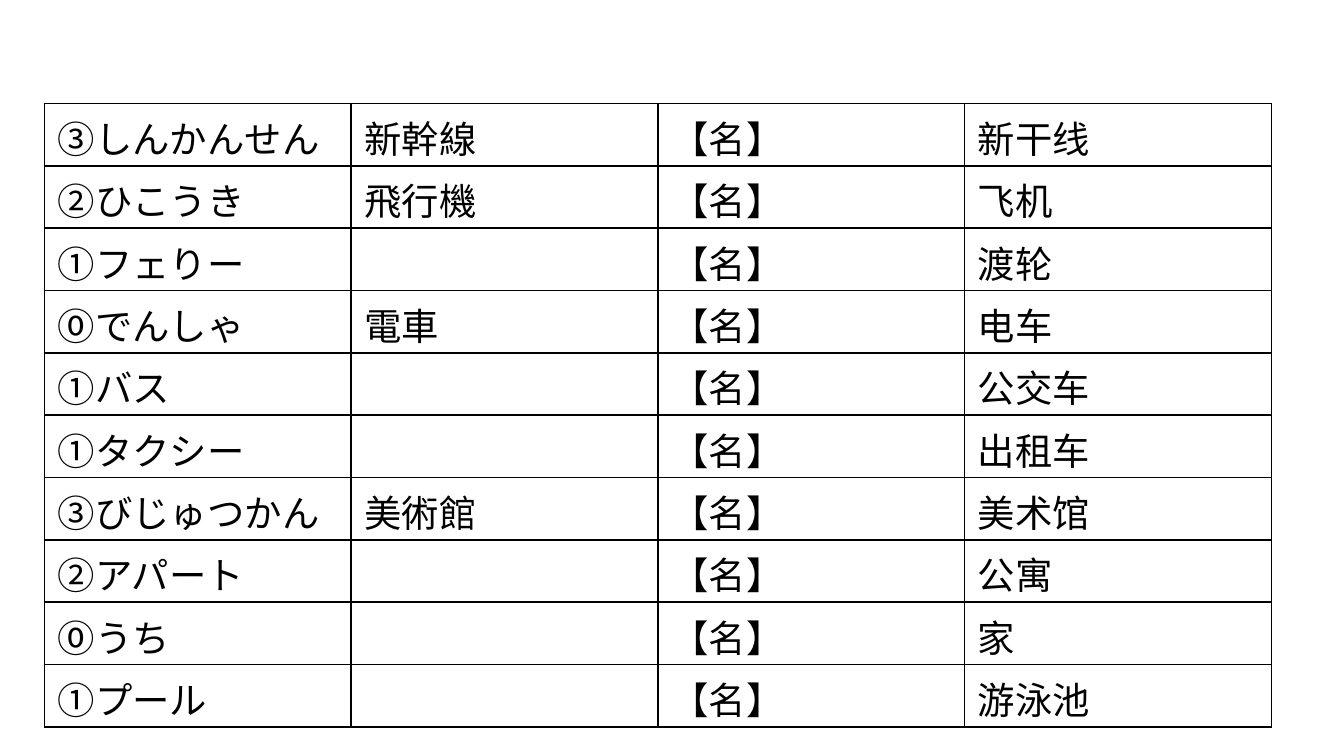
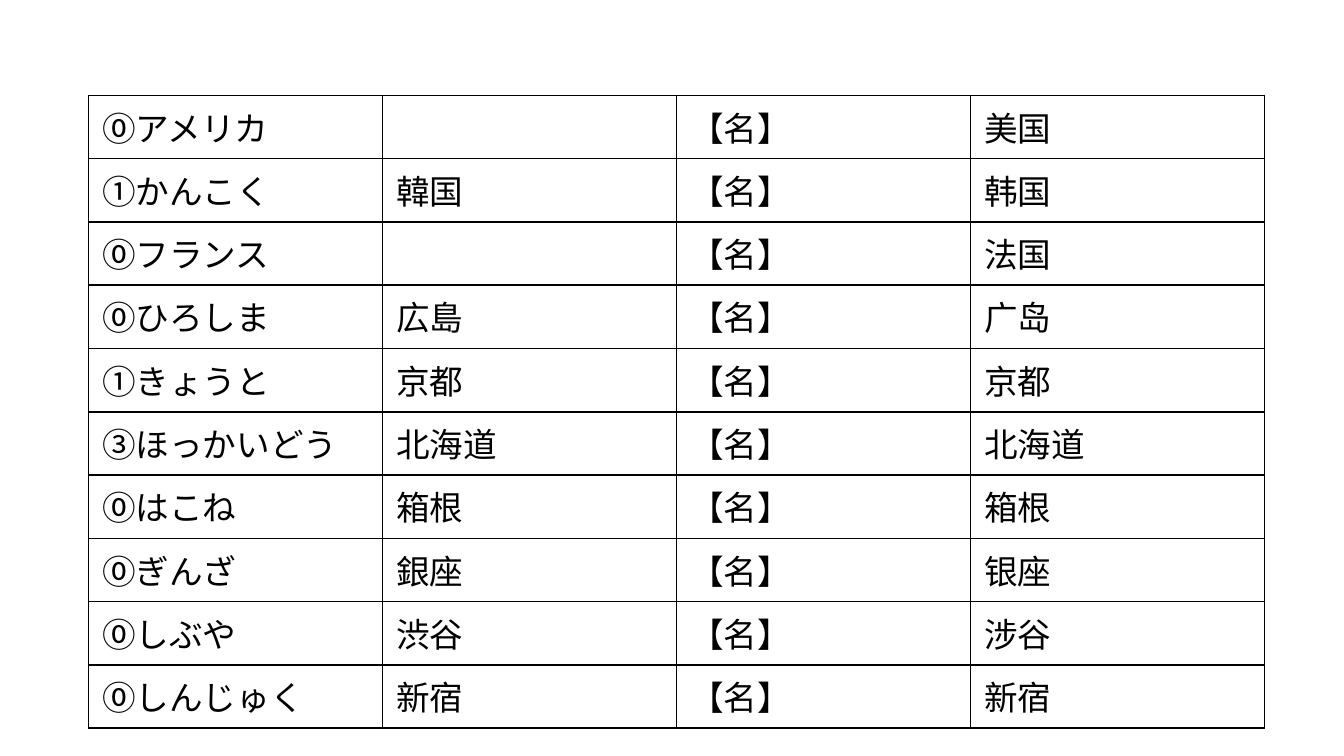
from lxml import etree
from pptx import Presentation
from pptx.dml.color import RGBColor
from pptx.enum.text import MSO_ANCHOR
from pptx.oxml.ns import qn
from pptx.util import Inches, Pt

TOP = MSO_ANCHOR.TOP
FONT = "Calibri"
BLACK = "000000"
NOUN = "【名】"
BORDER_WIDTH = Pt(1)

TRANSPORT_AND_BUILDINGS = [
    ("③しんかんせん", "新幹線", "新干线"),
    ("②ひこうき", "飛行機", "飞机"),
    ("①フェりー", "", "渡轮"),
    ("⓪でんしゃ", "電車", "电车"),
    ("①バス", "", "公交车"),
    ("①タクシー", "", "出租车"),
    ("③びじゅつかん", "美術館", "美术馆"),
    ("②アパート", "", "公寓"),
    ("⓪うち", "", "家"),
    ("①プール", "", "游泳池"),
]
PLACE_NAMES = [
    ("⓪アメリカ", "", "美国"),
    ("①かんこく", "韓国", "韩国"),
    ("⓪フランス", "", "法国"),
    ("⓪ひろしま", "広島", "广岛"),
    ("①きょうと", "京都", "京都"),
    ("③ほっかいどう", "北海道", "北海道"),
    ("⓪はこね", "箱根", "箱根"),
    ("⓪ぎんざ", "銀座", "银座"),
    ("⓪しぶや", "渋谷", "涉谷"),
    ("⓪しんじゅく", "新宿", "新宿"),
]
VOCABULARY_SLIDES = [
    (TRANSPORT_AND_BUILDINGS, 0.33, 0.77, 9.13, 4.64, 20),
    (PLACE_NAMES, 0.66, 0.71, 8.75, 4.71, 18),
]


def color(value):
    return RGBColor.from_string(value)


def add_borders(cell):
    properties = cell._tc.get_or_add_tcPr()
    for position, side in enumerate(("lnL", "lnR", "lnT", "lnB")):
        line = etree.Element(qn(f"a:{side}"), w=str(BORDER_WIDTH))
        fill = etree.SubElement(line, qn("a:solidFill"))
        etree.SubElement(fill, qn("a:srgbClr"), val=BLACK)
        properties.insert(position, line)


presentation = Presentation()
presentation.slide_width = Inches(10)
presentation.slide_height = Inches(10) * 9 // 16

for words, left, top, width, height, size in VOCABULARY_SLIDES:
    slide = presentation.slides.add_slide(presentation.slide_layouts[6])
    table = slide.shapes.add_table(
        len(words), 4, Inches(left), Inches(top), Inches(width), Inches(height)
    ).table
    table.first_row = False
    table.horz_banding = False
    for row, (reading, kanji, meaning) in enumerate(words):
        for column, text in enumerate((reading, kanji, NOUN, meaning)):
            cell = table.cell(row, column)
            cell.fill.background()
            cell.vertical_anchor = TOP
            cell.margin_bottom = 0
            add_borders(cell)
            cell.text_frame.text = text
            for run in cell.text_frame.paragraphs[0].runs:
                run.font.name = FONT
                run.font.size = Pt(size)
                run.font.color.rgb = color(BLACK)

presentation.save("out.pptx")
